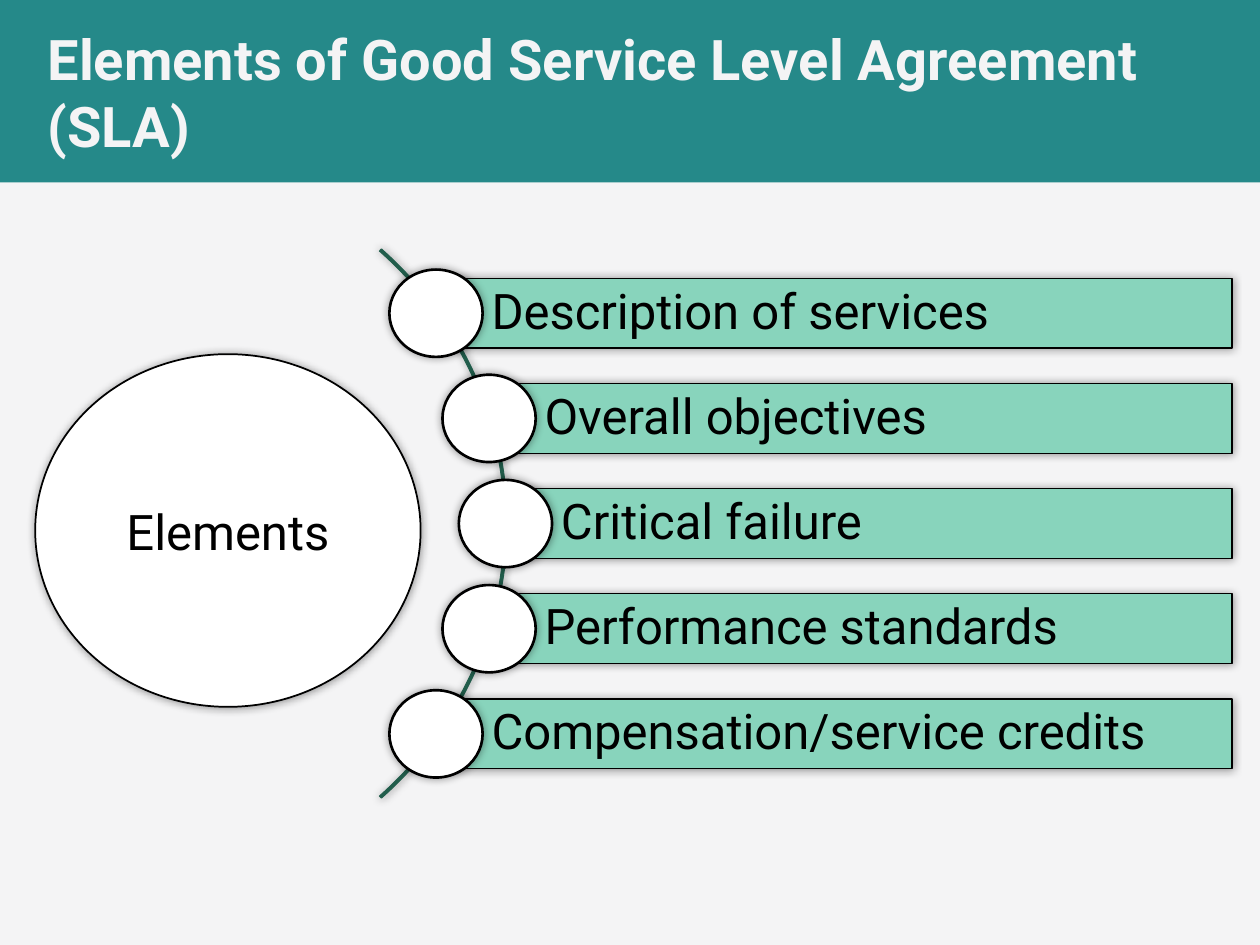
from lxml import etree
from pptx import Presentation
from pptx.dml.color import RGBColor
from pptx.enum.shapes import MSO_SHAPE
from pptx.enum.text import MSO_ANCHOR, PP_ALIGN
from pptx.oxml.ns import qn
from pptx.util import Cm, Pt

RECT, OVAL, ARC = MSO_SHAPE.RECTANGLE, MSO_SHAPE.OVAL, MSO_SHAPE.BLOCK_ARC
HUB = MSO_SHAPE.FLOWCHART_CONNECTOR
MIDDLE = MSO_ANCHOR.MIDDLE
LEFT, CENTER = PP_ALIGN.LEFT, PP_ALIGN.CENTER

# Content: each row has its text and the left edge of its bar in cm
TITLE = "Elements of Good Service Level Agreement (SLA)"
CORE = "Elements"
ROWS = [
    ("Description of services", 8.79),
    ("Overall objectives", 9.86),
    ("Critical failure", 10.19),
    ("Performance standards", 9.86),
    ("Compensation/service credits", 8.79),
]

# Layout in cm
RIGHT, TOP, PITCH, BAR = 24.84, 5.61, 2.12, 1.41
DOT_W, DOT_H = 1.88, 1.76
INK, PALE, WHITE = "000000", "F4F4F5", "FFFFFF"
TEAL, MINT, PINE = "258989", "88D4BC", "215D4B"


def color(code):
    return RGBColor.from_string(code)


def glow(shape):
    """Soft shadow spread evenly around the shape."""
    effects = shape._element.spPr.find(qn("a:effectLst"))
    outer = etree.SubElement(effects, qn("a:outerShdw"), blurRad=str(Pt(5)), dist="0", dir="0")
    tone = etree.SubElement(outer, qn("a:srgbClr"), val=INK)
    etree.SubElement(tone, qn("a:alpha"), val="40000")


def draw(kind, box, fill, edge=None, width=0):
    shape = slide.shapes.add_shape(kind, *map(Cm, box))
    shape.shadow.inherit = False
    shape.fill.solid()
    shape.fill.fore_color.rgb = color(fill)
    if edge:
        shape.line.color.rgb = color(edge)
        shape.line.width = Pt(width)
        glow(shape)
    else:
        shape.line.fill.background()
    return shape


def write(shape, text, size=28, ink=INK, bold=False, align=LEFT):
    frame = shape.text_frame
    frame.word_wrap = True
    frame.vertical_anchor = MIDDLE
    par = frame.paragraphs[0]
    par.text = text
    par.alignment = align
    font = par.font
    font.name, font.size, font.bold = "Roboto", Pt(size), bold
    font.color.rgb = color(ink)
    return frame


deck = Presentation()
deck.slide_width, deck.slide_height = Cm(25.4), Cm(19.05)
slide = deck.slides.add_slide(deck.slide_layouts[6])
slide.background.fill.solid()
slide.background.fill.fore_color.rgb = color(PALE)

# Title band
draw(RECT, (0, 0, 25.4, 3.68), TEAL)
head = slide.shapes.add_textbox(Cm(0.71), Cm(0), Cm(24.33), Cm(3.68))
write(head, TITLE, 32, PALE, True)

# Arc behind the rows, from 315 to 45 degrees
arc = draw(ARC, (-5.92, 2.95, 16.15, 15.21), PINE, PINE, 0.5)
for i, value in enumerate((189, 27, 0.004)):
    arc.adjustments[i] = value

# Bars, each with a dot centred on its left edge
for i, (text, left) in enumerate(ROWS):
    top = TOP + i * PITCH
    bar = draw(RECT, (left, top, RIGHT - left, BAR), MINT, INK, 0.75)
    frame = write(bar, text)
    frame.margin_left = Cm(1.12)
    frame.margin_top = frame.margin_right = frame.margin_bottom = Cm(0.2)
    frame.paragraphs[0].line_spacing = 0.9
    draw(OVAL, (left - DOT_W / 2, top + (BAR - DOT_H) / 2, DOT_W, DOT_H), WHITE, INK, 1.5)

# Hub
hub = draw(HUB, (0.71, 7.14, 7.77, 7.11), WHITE, INK, 1)
write(hub, CORE, align=CENTER)

deck.save("out.pptx")
